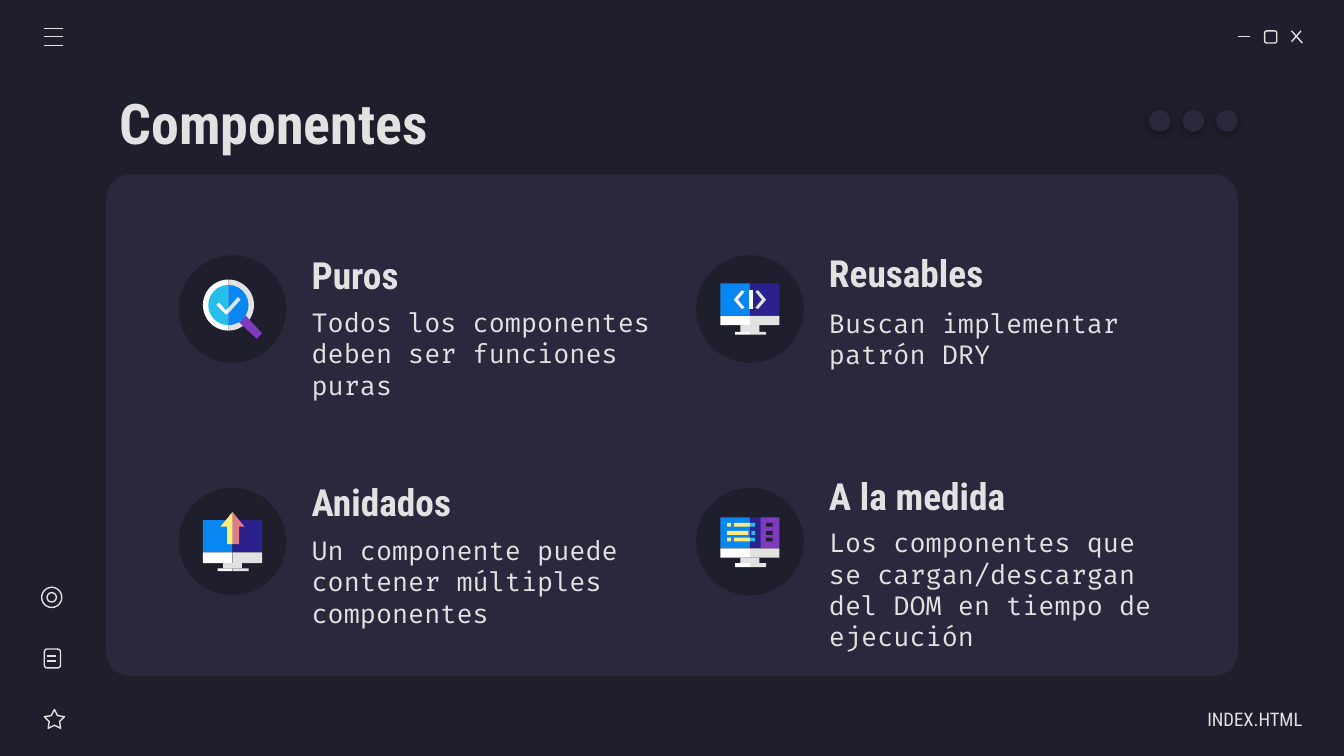
from dataclasses import dataclass

from lxml.etree import SubElement
from pptx import Presentation
from pptx.dml.color import RGBColor
from pptx.enum.shapes import MSO_CONNECTOR, MSO_SHAPE
from pptx.enum.text import MSO_ANCHOR, MSO_AUTO_SIZE, PP_ALIGN
from pptx.oxml.ns import qn
from pptx.util import Inches, Pt


@dataclass(frozen=True)
class Theme:
    background: str = "1E1E2C"
    panel: str = "29283D"
    text: str = "E2E2E2"
    white: str = "FFFFFF"
    blue: str = "0887F2"
    indigo: str = "2B218D"
    purple: str = "7E3BBE"
    cyan: str = "24BFEB"
    yellow: str = "FFEA7D"
    pink: str = "E07A88"
    heading_font: str = "Roboto Condensed"
    body_font: str = "Fira Code"
    title_size: int = 30
    heading_size: int = 20
    body_size: int = 14
    footer_size: int = 10
    line_width: float = 0.75


theme = Theme()


def write_text(shape, text, *, size, font=theme.heading_font, bold=False,
               align=PP_ALIGN.LEFT, right_inset=0.1):
    frame = shape.text_frame
    frame.word_wrap = True
    frame.auto_size = MSO_AUTO_SIZE.NONE
    frame.vertical_anchor = MSO_ANCHOR.MIDDLE
    frame.margin_left = frame.margin_top = frame.margin_bottom = Inches(0.1)
    frame.margin_right = Inches(right_inset)
    paragraph = frame.paragraphs[0]
    paragraph.alignment = align
    run = paragraph.add_run()
    run.text = text
    run.font.name = font
    run.font.size = Pt(size)
    run.font.bold = bold
    run.font.color.rgb = RGBColor.from_string(theme.text)


def paint(shape, fill=None):
    """Fill a shape without outline, or outline it when no fill is given."""
    shape.shadow.inherit = False
    if fill:
        shape.fill.solid()
        shape.fill.fore_color.rgb = RGBColor.from_string(fill)
        shape.line.fill.background()
    else:
        shape.fill.background()
        shape.line.color.rgb = RGBColor.from_string(theme.text)
        shape.line.width = Pt(theme.line_width)


# Slide in 16:9 format
presentation = Presentation()
presentation.slide_width = Inches(10)
presentation.slide_height = Inches(10 * 9 / 16)
slide = presentation.slides.add_slide(presentation.slide_layouts[5])
shapes = slide.shapes
slide.background.fill.solid()
slide.background.fill.fore_color.rgb = RGBColor.from_string(theme.background)

# Panel
panel = shapes.add_shape(MSO_SHAPE.ROUNDED_RECTANGLE,
                         Inches(0.79), Inches(1.3), Inches(8.42), Inches(3.73))
panel.adjustments[0] = 0.047
paint(panel, theme.panel)

# Title and footer
title = shapes.title
title.left, title.top = Inches(0.79), Inches(0.59)
title.width, title.height = Inches(8.43), Inches(0.63)
write_text(title, "Componentes", size=theme.title_size, bold=True)
footer = shapes.add_textbox(Inches(8.52), Inches(5.2), Inches(1.17), Inches(0.3))
write_text(footer, "INDEX.HTML", size=theme.footer_size,
           align=PP_ALIGN.RIGHT, right_inset=0)

# Strokes of the menu, window and page icons
strokes = [(0.33, y, 0.47, y) for y in (0.21, 0.27, 0.34)]
strokes += [(9.21, 0.27, 9.3, 0.27), (9.61, 0.23, 9.69, 0.32), (9.68, 0.23, 9.61, 0.31)]
strokes += [(0.35, y, 0.42, y) for y in (4.88, 4.92)]
for stroke in strokes:
    connector = shapes.add_connector(MSO_CONNECTOR.STRAIGHT, *map(Inches, stroke))
    connector.line.color.rgb = RGBColor.from_string(theme.text)
    connector.line.width = Pt(theme.line_width)
    SubElement(connector._element.spPr, qn("a:effectLst"))

# Outlined icons: window, target, page and star
for kind, *box in [
    (MSO_SHAPE.ROUNDED_RECTANGLE, 9.41, 0.23, 0.09, 0.09),
    (MSO_SHAPE.OVAL, 0.31, 4.37, 0.15, 0.15),
    (MSO_SHAPE.OVAL, 0.35, 4.41, 0.07, 0.07),
    (MSO_SHAPE.ROUNDED_RECTANGLE, 0.33, 4.83, 0.12, 0.14),
    (MSO_SHAPE.STAR_5_POINT, 0.33, 5.28, 0.15, 0.14),
]:
    outline = shapes.add_shape(kind, *map(Inches, box))
    paint(outline)
    if kind == MSO_SHAPE.STAR_5_POINT:
        outline.adjustments[0] = 0.254

# Dots with a soft shadow
for index in range(3):
    dot = shapes.add_shape(MSO_SHAPE.OVAL, Inches(8.55 + 0.25 * index), Inches(0.82),
                           Inches(0.16), Inches(0.16))
    paint(dot, theme.panel)
    effects = dot._element.spPr.find(qn("a:effectLst"))
    shadow = SubElement(effects, qn("a:outerShdw"), blurRad=str(Pt(4.5)),
                        dist=str(Pt(1.5)), dir="5400000", algn="bl", rotWithShape="0")
    shadow_color = SubElement(shadow, qn("a:srgbClr"), val="000000")
    SubElement(shadow_color, qn("a:alpha"), val="30000")

# Cards: column, row, heading, heading top, body, body top, body height
cards = [
    (0, 0, "Puros", 1.83, "Todos los componentes deben ser funciones puras", 2.24, 0.78),
    (1, 0, "Reusables", 1.81, "Buscan implementar patrón DRY", 2.24, 0.56),
    (0, 1, "Anidados", 3.52, "Un componente puede contener múltiples componentes", 3.95, 0.75),
    (1, 1, "A la medida", 3.47,
     "Los componentes que se cargan/descargan del DOM en tiempo de ejecución", 3.79, 1.19),
]
for column, row, heading, heading_top, body, body_top, body_height in cards:
    left = 1.33 + 3.85 * column
    disc = shapes.add_shape(MSO_SHAPE.OVAL, Inches(left), Inches(1.9 + 1.73 * row),
                            Inches(0.8), Inches(0.8))
    paint(disc, theme.background)
    heading_box = shapes.add_textbox(Inches(left + 0.89), Inches(heading_top),
                                     Inches(2.73), Inches(0.43))
    write_text(heading_box, heading, size=theme.heading_size, bold=True)
    body_box = shapes.add_textbox(Inches(left + 0.89), Inches(body_top),
                                  Inches(2.73), Inches(body_height))
    write_text(body_box, body, size=theme.body_size, font=theme.body_font)

# Magnifier lens: two half discs for the rim, two for the glass
magnifier = shapes.add_group_shape()
for radius, left_color, right_color in [(0.19, theme.white, theme.text),
                                        (0.15, theme.cyan, theme.blue)]:
    for color, start, end in [(left_color, 54, 162), (right_color, 162, 54)]:
        half = magnifier.shapes.add_shape(
            MSO_SHAPE.PIE, Inches(1.7 - radius), Inches(2.27 - radius),
            Inches(2 * radius), Inches(2 * radius))
        half.adjustments[0], half.adjustments[1] = start, end
        paint(half, color)

# Monitors: centre and the levels of screen, chin, neck, foot and base
monitors = []
for center, screen, chin, neck, foot, base in [
    (5.58, 2.11, 2.35, 2.42, 2.47, 2.49),
    (1.73, 3.87, 4.11, 4.19, 4.23, 4.25),
    (5.58, 3.85, 4.08, 4.15, 4.19, 4.22),
]:
    monitor = shapes.add_group_shape()
    monitors.append(monitor)
    for color, start, top, end, bottom in [
        (theme.blue, -0.22, screen, 0, chin), (theme.indigo, 0, screen, 0.22, chin),
        (theme.white, -0.22, chin, 0, neck), (theme.text, 0, chin, 0.22, neck),
        (theme.text, -0.07, neck, 0.07, foot),
        (theme.white, -0.11, foot, 0, base), (theme.text, 0, foot, 0.12, base),
    ]:
        part = monitor.shapes.add_shape(
            MSO_SHAPE.RECTANGLE, Inches(center + start), Inches(top),
            Inches(end - start), Inches(bottom - top))
        paint(part, color)
code_monitor, arrow_monitor, list_monitor = monitors

# Server pane and list rows on the last monitor
list_parts = [(theme.purple, 5.66, 3.85, 0.14, 0.23)]
for row, top in enumerate((3.89, 3.95, 4)):
    if row == 1:
        dashes = [(theme.yellow, 5.41, 0.16), (theme.cyan, 5.59, 0.03)]
    else:
        dashes = [(theme.yellow, 5.41, 0.03), (theme.yellow, 5.46, 0.12),
                  (theme.cyan, 5.58, 0.04)]
    dashes.append((theme.background, 5.7, 0.05))
    list_parts += [(color, left, top, width, 0.03) for color, left, width in dashes]
for color, *box in list_parts:
    paint(list_monitor.shapes.add_shape(MSO_SHAPE.RECTANGLE, *map(Inches, box)), color)

# Angular glyphs: handle, check mark, code brackets and upward arrow
for group, color, points in [
    (magnifier, theme.purple, [(1.83, 2.35), (1.78, 2.4), (1.91, 2.52), (1.95, 2.48)]),
    (magnifier, theme.text, [(1.77, 2.21), (1.7, 2.29), (1.7, 2.33), (1.79, 2.23)]),
    (magnifier, theme.white, [(1.63, 2.25), (1.61, 2.27), (1.68, 2.34), (1.7, 2.33),
                              (1.7, 2.29), (1.68, 2.31)]),
    (code_monitor, theme.white, [(5.52, 2.16), (5.46, 2.23), (5.52, 2.3), (5.54, 2.29),
                                 (5.49, 2.23), (5.54, 2.17)]),
    (code_monitor, theme.text, [(5.64, 2.16), (5.62, 2.17), (5.67, 2.23), (5.62, 2.29),
                                (5.64, 2.3), (5.7, 2.23)]),
    (code_monitor, theme.white, [(5.57, 2.16), (5.57, 2.3), (5.6, 2.3), (5.6, 2.16)]),
    (arrow_monitor, theme.pink, [(1.73, 3.81), (1.73, 4.05), (1.78, 4.05), (1.78, 3.92),
                                 (1.82, 3.92)]),
    (arrow_monitor, theme.yellow, [(1.73, 3.81), (1.64, 3.92), (1.69, 3.92), (1.69, 4.05),
                                   (1.73, 4.05)]),
]:
    start, *corners = [(Inches(x), Inches(y)) for x, y in points]
    builder = group.shapes.build_freeform(*start)
    builder.add_line_segments(corners, close=True)
    paint(builder.convert_to_shape(), color)

presentation.save("out.pptx")
